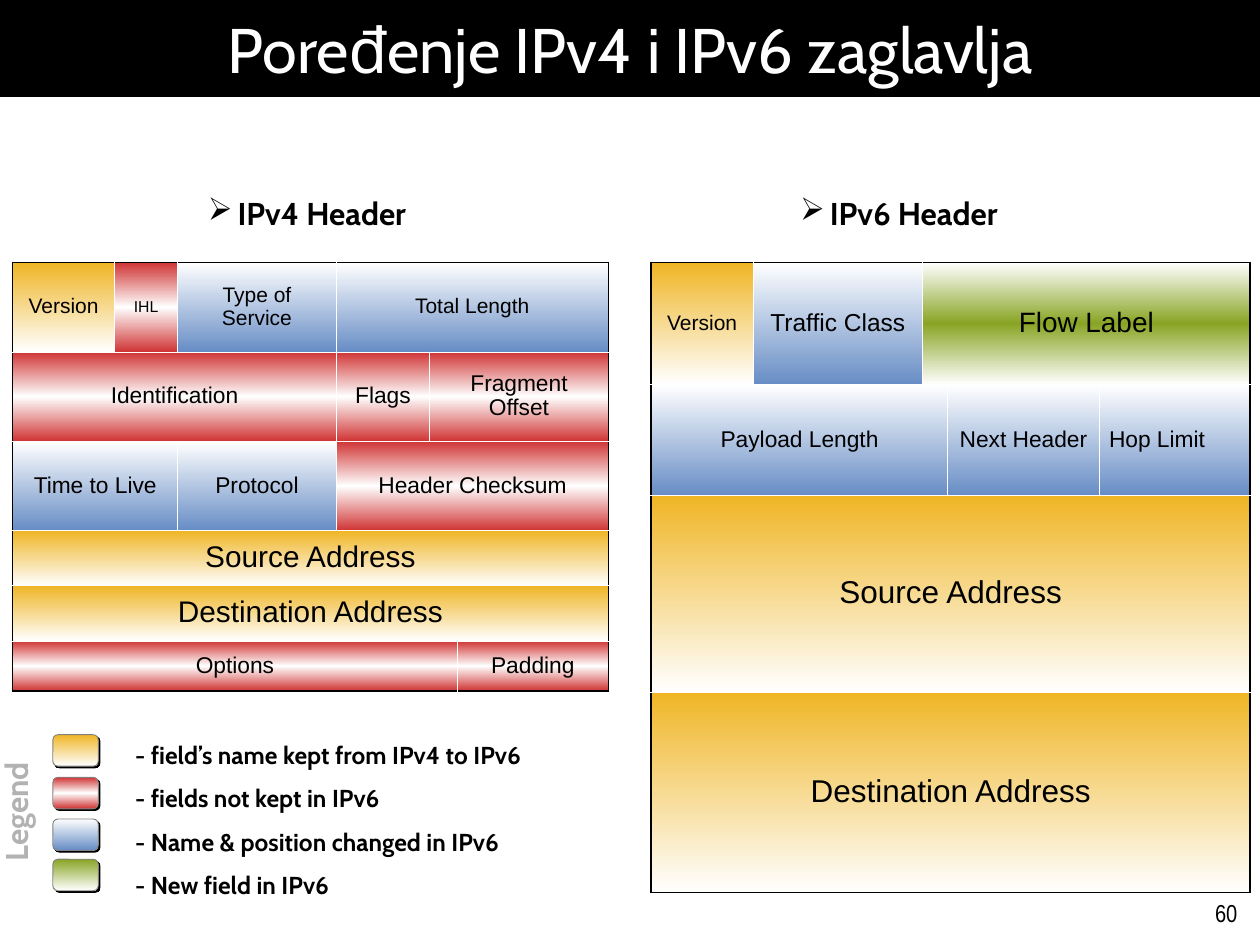
import dataclasses

import pptx
import pptx.dml.color
import pptx.enum.shapes
import pptx.enum.text
import pptx.oxml
import pptx.oxml.ns
import pptx.util

Pt = pptx.util.Pt
ALIGN = pptx.enum.text.PP_ALIGN
MIDDLE = pptx.enum.text.MSO_ANCHOR.MIDDLE
NAMESPACE = pptx.oxml.ns.nsdecls("a")

# Vertical gradients, from top to bottom
KEPT = ("EFB525", "FFFFFF")
DROPPED = ("D03434", "FFFFFF", "D03434")
CHANGED = ("FFFFFF", "678DC5")
NEW = ("FFFFFF", "89A424", "FFFFFF")
NEW_SWATCH = ("89A424", "FFFFFF")

INDENT = 17


@dataclasses.dataclass
class Field:
    name: str
    span: int
    colours: tuple[str, ...]
    size: float = 13
    align: ALIGN = ALIGN.CENTER


@dataclasses.dataclass
class Header:
    title: str
    title_left: float
    left: float
    columns: list[float]
    heights: list[float]
    rows: list[list[Field]]


HEADERS = [
    Header("IPv4 Header", 113, 7.2,
           [58.3, 36, 90.7, 53.3, 15.8, 86.4],
           [51.1, 51.1, 51.1, 31.5, 31.5, 28.7],
           [[Field("Version", 1, KEPT, 12), Field("IHL", 1, DROPPED, 9),
             Field("Type of Service", 1, CHANGED, 12),
             Field("Total Length", 3, CHANGED, 12)],
            [Field("Identification", 3, DROPPED), Field("Flags", 1, DROPPED),
             Field("Fragment Offset", 2, DROPPED)],
            [Field("Time to Live", 2, CHANGED), Field("Protocol", 1, CHANGED),
             Field("Header Checksum", 3, DROPPED)],
            [Field("Source Address", 6, KEPT, 17)],
            [Field("Destination Address", 6, KEPT, 17)],
            [Field("Options", 5, DROPPED), Field("Padding", 1, DROPPED)]]),
    Header("IPv6 Header", 451.4, 372.1,
           [58.3, 96.8, 14.4, 86.4, 86.4],
           [69.8, 63.4, 112.3, 114.5],
           [[Field("Version", 1, KEPT, 12), Field("Traffic Class", 1, CHANGED, 14),
             Field("Flow Label", 3, NEW, 16)],
            [Field("Payload Length", 3, CHANGED), Field("Next Header", 1, CHANGED),
             Field("Hop Limit", 1, CHANGED, align=ALIGN.LEFT)],
            [Field("Source Address", 5, KEPT, 18)],
            [Field("Destination Address", 5, KEPT, 18)]]),
]

LEGEND = [
    (419.8, KEPT, "- field’s name kept from IPv4 to IPv6"),
    (444.2, DROPPED, "- fields not kept in IPv6"),
    (468, CHANGED, "- Name & position changed in IPv6"),
    (491, NEW_SWATCH, "- New field in IPv6"),
]


def rgb(colour: str) -> pptx.dml.color.RGBColor:
    return pptx.dml.color.RGBColor.from_string(colour)


def write(frame, text: str, *, size: float, font: str = "Arial", colour: str = "000000",
          bold: bool = False, align: ALIGN = ALIGN.LEFT, line: float = 1,
          gap: float = 0, indent: float = 0, bullet: str = "") -> None:
    """Put each line of the text in its own paragraph."""
    for index, words in enumerate(text.split("\n")):
        para = frame.paragraphs[0] if index == 0 else frame.add_paragraph()
        properties = para._p.get_or_add_pPr()
        if indent:
            properties.set("marL", str(Pt(indent)))
            properties.set("indent", str(-Pt(indent) if bullet else 0))
        if bullet:
            properties.append(pptx.oxml.parse_xml(f'<a:buChar {NAMESPACE} char="{bullet}"/>'))
        para.alignment = align
        para.line_spacing = line
        if index and gap:
            para.space_before = Pt(gap)
        span = para.add_run()
        span.text = words
        span.font.size = Pt(size)
        span.font.name = font
        span.font.bold = bold
        span.font.color.rgb = rgb(colour)


def set_margins(target, across: float, down: float) -> None:
    target.margin_left = target.margin_right = Pt(across)
    target.margin_top = target.margin_bottom = Pt(down)


def add_text(page, left: float, top: float, width: float, height: float,
             text: str, *, margins: tuple[float, float] = (6.2, 3), **style):
    box = page.shapes.add_textbox(Pt(left), Pt(top), Pt(width), Pt(height))
    box.text_frame.word_wrap = True
    set_margins(box.text_frame, *margins)
    write(box.text_frame, text, **style)
    return box


def fill_gradient(fill, element, colours: tuple[str, ...]) -> None:
    """Spread the colours evenly from top to bottom."""
    fill.gradient()
    fill.gradient_angle = 270
    stops = element.find(".//" + pptx.oxml.ns.qn("a:gsLst"))
    stops.clear()
    for index, colour in enumerate(colours):
        place = 100000 * index // (len(colours) - 1)
        stops.append(pptx.oxml.parse_xml(
            f'<a:gs {NAMESPACE} pos="{place}"><a:srgbClr val="{rgb(colour)}"/></a:gs>'))


def set_borders(cell, outer: dict[str, bool]) -> None:
    """Draw black lines on the outside of the table and thin white ones inside."""
    properties = cell._tc.get_or_add_tcPr()
    for index, (side, outside) in enumerate(outer.items()):
        colour, width = ("000000", 1.08) if outside else ("FFFFFF", 0.45)
        properties.insert(index, pptx.oxml.parse_xml(
            f'<a:ln{side} {NAMESPACE} w="{Pt(width)}"><a:solidFill>'
            f'<a:srgbClr val="{rgb(colour)}"/></a:solidFill></a:ln{side}>'))


def add_header(page, header: Header) -> None:
    add_text(page, header.title_left, 108, 134.6, 27.4, header.title, size=18,
             font="Cabin", bold=True, indent=INDENT, bullet="➢", margins=(5.8, 2.9))
    count, width = len(header.rows), len(header.columns)
    table = page.shapes.add_table(count, width, Pt(header.left), Pt(150),
                                  Pt(sum(header.columns)), Pt(sum(header.heights))).table
    table.first_row = table.horz_banding = False
    for column, size in zip(table.columns, header.columns):
        column.width = Pt(size)
    for row, size in zip(table.rows, header.heights):
        row.height = Pt(size)
    for row, fields in enumerate(header.rows):
        start = 0
        for field in fields:
            end = start + field.span
            cell = table.cell(row, start)
            if field.span > 1:
                cell.merge(table.cell(row, end - 1))
            set_margins(cell, 5.8, 3.6)
            cell.vertical_anchor = MIDDLE
            write(cell.text_frame, field.name, size=field.size, align=field.align, line=0.95)
            fill_gradient(cell.fill, cell._tc, field.colours)
            set_borders(cell, {"L": start == 0, "R": end == width,
                               "T": row == 0, "B": row == count - 1})
            start = end


def add_swatch(page, top: float, colours: tuple[str, ...]) -> None:
    swatch = page.shapes.add_shape(pptx.enum.shapes.MSO_SHAPE.ROUNDED_RECTANGLE,
                                   Pt(30.2), Pt(top), Pt(26), Pt(18))
    fill_gradient(swatch.fill, swatch._element, colours)
    swatch.line.color.rgb = rgb("808080")
    swatch.line.width = Pt(0.5)
    swatch.shadow.inherit = False
    effects = swatch._element.spPr.find(pptx.oxml.ns.qn("a:effectLst"))
    effects.append(pptx.oxml.parse_xml(
        f'<a:outerShdw {NAMESPACE} dist="{Pt(1.4)}" dir="2700000">'
        f'<a:srgbClr val="{rgb("000000")}"/></a:outerShdw>'))


def main() -> None:
    deck = pptx.Presentation()
    deck.slide_width, deck.slide_height = Pt(720), Pt(540)
    page = deck.slides.add_slide(deck.slide_layouts[5])

    # Title band
    title = page.shapes.title
    title.left, title.top, title.width, title.height = Pt(0), Pt(0), Pt(720), Pt(55.4)
    title.fill.solid()
    title.fill.fore_color.rgb = rgb("000000")
    title.text_frame.auto_size = pptx.enum.text.MSO_AUTO_SIZE.NONE
    title.text_frame.vertical_anchor = MIDDLE
    set_margins(title.text_frame, 14.4, 3.6)
    write(title.text_frame, "Poređenje IPv4 i IPv6 zaglavlja", size=36, font="Cabin",
          colour="FFFFFF", align=ALIGN.CENTER)

    # Header layouts
    for header in HEADERS:
        add_header(page, header)

    # Legend
    for top, colours, _ in LEGEND:
        add_swatch(page, top, colours)
    add_text(page, 54, 421.2, 270, 96.5, "\n".join(text for _, _, text in LEGEND),
             size=14, font="Cabin", bold=True, line=0.95, gap=8.8, indent=INDENT)
    caption = add_text(page, -38.9, 452.2, 98.6, 27.4, "Legend", size=18, font="Cabin",
                       colour="B2B2B2", bold=True, line=0.95, indent=INDENT)
    caption.rotation = 270

    # Page number
    add_text(page, 684, 509.8, 30.2, 23.8, "60", size=14, font="Arial Narrow",
             align=ALIGN.RIGHT, margins=(7.2, 3.6))

    deck.save("out.pptx")


if __name__ == "__main__":
    main()
